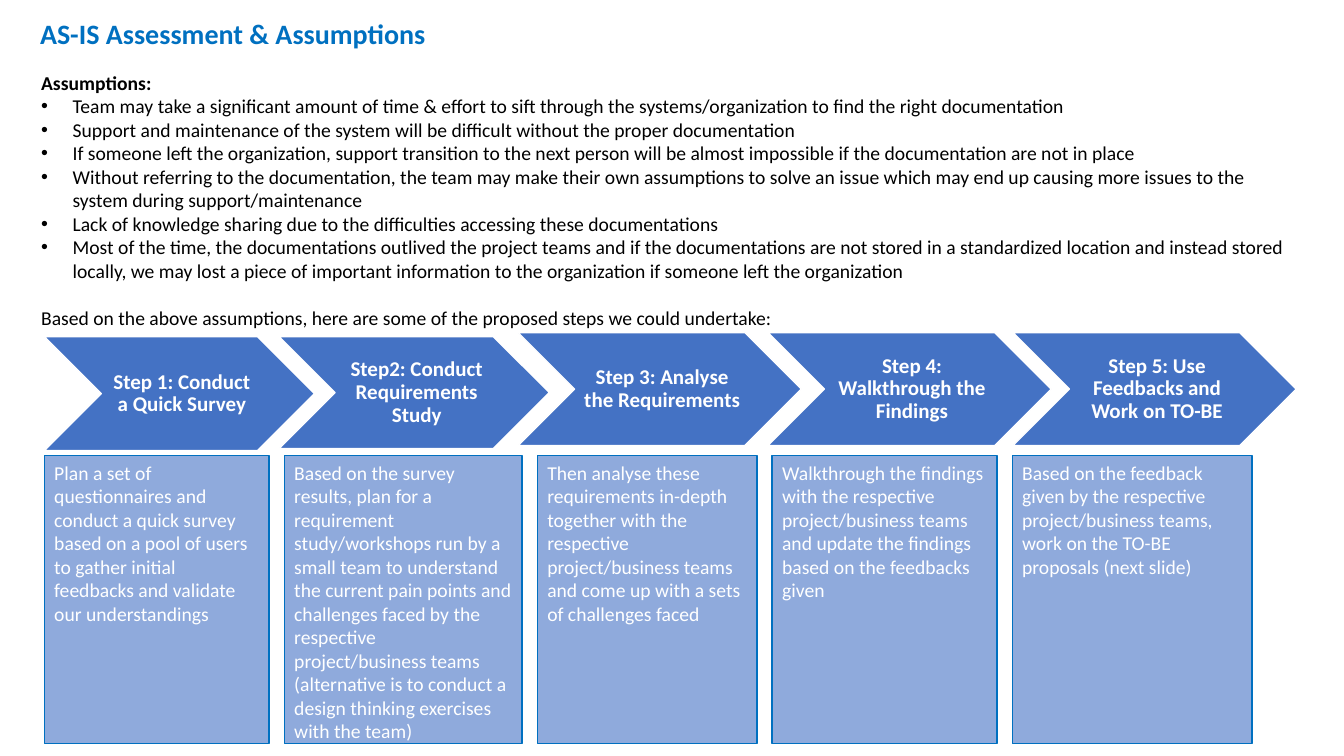
import pptx
import pptx.util
import pptx.dml.color
import pptx.enum.shapes
import pptx.enum.text
from dataclasses import dataclass
from lxml import etree

Pt = pptx.util.Pt
SHAPE = pptx.enum.shapes.MSO_SHAPE
ANCHOR = pptx.enum.text.MSO_ANCHOR
ALIGN = pptx.enum.text.PP_ALIGN

TITLE = "AS-IS Assessment & Assumptions"
HEAD = "Assumptions:"
POINTS = [
    "Team may take a significant amount of time & effort to sift through the systems/organization to find the right documentation",
    "Support and maintenance of the system will be difficult without the proper documentation",
    "If someone left the organization, support transition to the next person will be almost impossible if the documentation are not in place",
    "Without referring to the documentation, the team may make their own assumptions to solve an issue which may end up causing more issues to the system during support/maintenance",
    "Lack of knowledge sharing due to the difficulties accessing these documentations",
    "Most of the time, the documentations outlived the project teams and if the documentations are not stored in a standardized location and instead stored locally, we may lost a piece of important information to the organization if someone left the organization",
]
LEAD = "Based on the above assumptions, here are some of the proposed steps we could undertake:"

# Step label, chevron (left, top, width, height), detail box width, detail
STEPS = [
    ("Step 1: Conduct a Quick Survey", (31.7, 240.5, 193, 81.4), 160.6,
     "Plan a set of questionnaires and conduct a quick survey based on a pool of users to gather initial feedbacks and validate our understandings"),
    ("Step2: Conduct Requirements Study", (199.4, 240.5, 193, 79.9), 169.9,
     "Based on the survey results, plan for a requirement study/workshops run by a small team to understand the current pain points and challenges faced by the respective project/business teams (alternative is to conduct a design thinking exercises with the team)"),
    ("Step 3: Analyse the Requirements", (370.1, 237.6, 202.3, 80.6), 157,
     "Then analyse these requirements in-depth together with the respective project/business teams and come up with a sets of challenges faced"),
    ("Step 4: Walkthrough the Findings", (548.6, 237.6, 202.3, 80.6), 160.6,
     "Walkthrough the findings with the respective project/business teams and update the findings based on the feedbacks given"),
    ("Step 5: Use Feedbacks and Work on TO-BE", (723.6, 237.6, 202.3, 80.6), 171.4,
     "Based on the feedback given by the respective project/business teams, work on the TO-BE proposals (next slide)"),
]
BOX_LEFT, BOX_TOP, BOX_HIGH, BOX_GAP = 31.7, 325.4, 205.9, 10.8
INDENT, LINE = 22.5, 17


@dataclass
class Theme:
    font: str = "Calibri"
    title: str = "0070C0"
    ink: str = "000000"
    white: str = "FFFFFF"
    arrow: str = "4472C4"
    box: str = "8FAADC"
    edge: str = "0070C0"
    big: int = 20
    label: int = 15
    body: int = 14


theme = Theme()


def rgb(code):
    return pptx.dml.color.RGBColor.from_string(code)


def write(para, text, size, color, bold=False):
    run = para.add_run()
    run.text = text
    font = run.font
    font.name, font.size, font.bold = theme.font, Pt(size), bold
    font.color.rgb = rgb(color)


def bullet(para):
    props = para._p.get_or_add_pPr()
    props.set("marL", str(Pt(INDENT)))
    props.set("indent", str(-Pt(INDENT)))
    space = pptx.oxml.ns.qn
    etree.SubElement(props, space("a:buFont")).set("typeface", "Arial")
    etree.SubElement(props, space("a:buChar")).set("char", "•")


def add_text(slide, place):
    frame = slide.shapes.add_textbox(*map(Pt, place)).text_frame
    frame.word_wrap = True
    return frame


def add_block(slide, kind, place, fill, line):
    block = slide.shapes.add_shape(kind, *map(Pt, place))
    block.shadow.inherit = False
    block.fill.solid()
    block.fill.fore_color.rgb = rgb(fill)
    block.line.color.rgb = rgb(line)
    block.line.width = Pt(1)
    block.text_frame.word_wrap = True
    return block


def add_arrow(slide, label, place):
    arrow = add_block(slide, SHAPE.CHEVRON, place, theme.arrow, theme.white)
    arrow.adjustments[0] = 0.5
    frame = arrow.text_frame
    frame.vertical_anchor = ANCHOR.MIDDLE
    frame.margin_left = Pt(5)
    frame.margin_right = frame.margin_top = frame.margin_bottom = Pt(1.5)
    para = frame.paragraphs[0]
    para.alignment = ALIGN.CENTER
    para.line_spacing = 0.9
    write(para, label, theme.label, theme.white, True)


def add_detail(slide, text, place):
    box = add_block(slide, SHAPE.RECTANGLE, place, theme.box, theme.edge)
    box.text_frame.vertical_anchor = ANCHOR.TOP
    para = box.text_frame.paragraphs[0]
    para.alignment = ALIGN.LEFT
    write(para, text, theme.body, theme.white)


def add_notes(slide):
    """Assumption list and the line that leads to the steps."""
    frame = add_text(slide, (22.3, 46.8, 916.6, 195))
    write(frame.paragraphs[0], HEAD, theme.body, theme.ink, True)
    for point in POINTS:
        para = frame.add_paragraph()
        bullet(para)
        write(para, point, theme.body, theme.ink)
    para = frame.add_paragraph()
    para.space_before = Pt(LINE)
    write(para, LEAD, theme.body, theme.ink)


def main():
    deck = pptx.Presentation()
    deck.slide_width, deck.slide_height = Pt(960), Pt(540)
    slide = deck.slides.add_slide(deck.slide_layouts[6])
    title = add_text(slide, (21.6, 7.9, 789.8, 31.7))
    write(title.paragraphs[0], TITLE, theme.big, theme.title, True)
    left = BOX_LEFT
    for label, place, wide, detail in STEPS:
        add_arrow(slide, label, place)
        add_detail(slide, detail, (left, BOX_TOP, wide, BOX_HIGH))
        left += wide + BOX_GAP
    add_notes(slide)
    deck.save("out.pptx")


if __name__ == "__main__":
    main()
